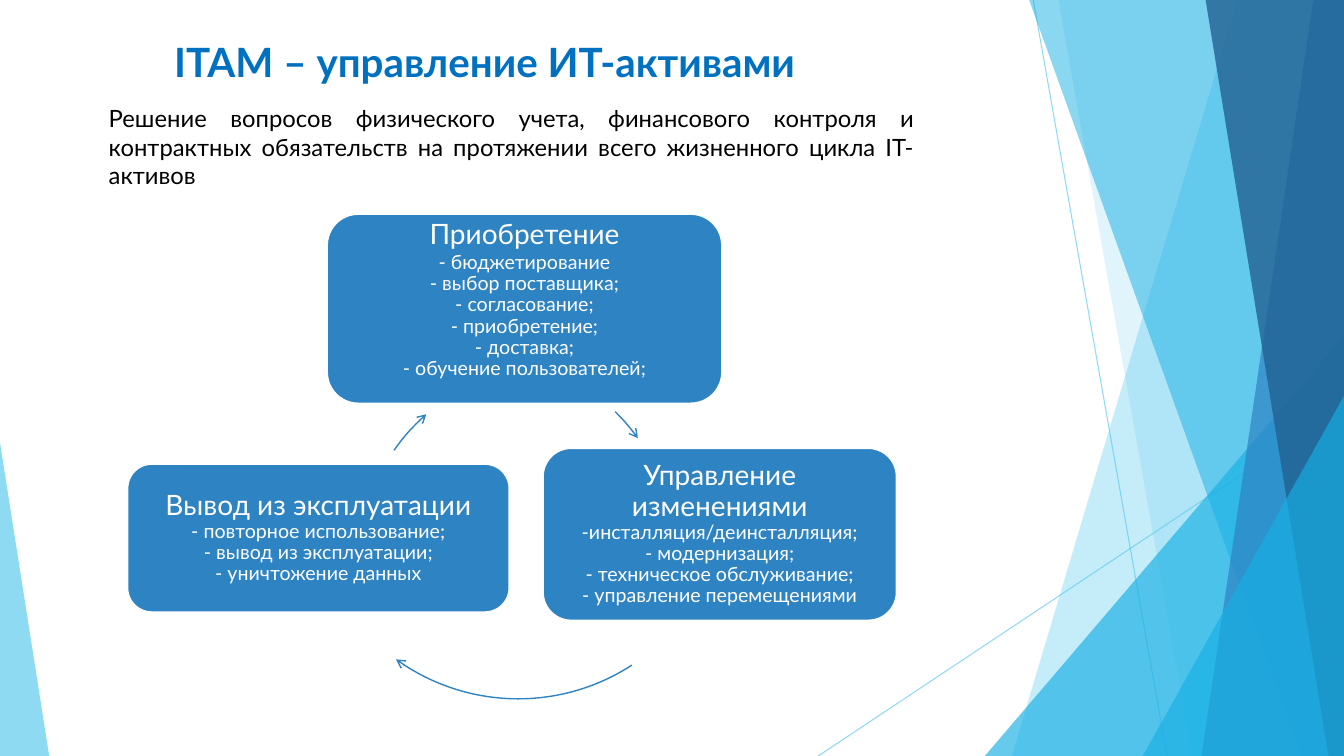
"""Builds the ITAM life-cycle slide."""
from lxml.etree import SubElement
from pptx import Presentation
from pptx.dml.color import RGBColor as RGB
from pptx.enum.shapes import MSO_CONNECTOR as CONN, MSO_SHAPE as SHAPE
from pptx.enum.text import MSO_ANCHOR as ANCHOR, PP_ALIGN as ALIGN
from pptx.oxml.ns import qn
from pptx.util import Cm, Pt

W, H = 33.87, 19.05
COLORS = {
    "sky": "5FCBEF", "cyan": "17B0E4", "blue": "2E83C3", "navy": "226292",
    "title": "0070C0", "black": "000000", "white": "FFFFFF",
}


class Deck:
    """Holds the style and the current slide."""
    font = "Lato"

    def __init__(self, slide):
        self.s = slide

    def color(self, name):
        return RGB.from_string(COLORS[name])

    def opacity(self, sp, percent):
        for clr in sp.element.spPr.iter(qn("a:srgbClr")):
            SubElement(clr, qn("a:alpha"), val=str(percent * 1000))

    def fill(self, sp, color):
        sp.shadow.inherit = False
        sp.fill.solid()
        sp.fill.fore_color.rgb = self.color(color)
        sp.line.fill.background()

    def stroke(self, sp, color, width):
        sp.line.color.rgb = self.color(color)
        sp.line.width = Pt(width)

    def style(self, p, size, color, align, bold=False, spacing=None):
        p.alignment = align
        p.line_spacing = spacing
        for r in p.runs:
            r.font.name, r.font.size, r.font.bold = self.font, Pt(size), bold
            r.font.color.rgb = self.color(color)

    def line(self, x1, y1, x2, y2):
        sp = self.s.shapes.add_connector(CONN.STRAIGHT, Cm(x1), Cm(y1), Cm(x2), Cm(y2))
        self.stroke(sp, "sky", 0.75)
        self.opacity(sp, 70)
        SubElement(sp.element.spPr, qn("a:effectLst"))

    def band(self, top_x, bottom_x, color, opacity):
        builder = self.s.shapes.build_freeform(Cm(top_x), Cm(-0.02))
        corners = [(W, -0.02), (W, H), (bottom_x, H)]
        builder.add_line_segments([(Cm(x), Cm(y)) for x, y in corners])
        sp = builder.convert_to_shape()
        self.fill(sp, color)
        self.opacity(sp, opacity)

    def triangle(self, left, top, width, apex, color, opacity):
        sp = self.s.shapes.add_shape(SHAPE.ISOSCELES_TRIANGLE, Cm(left), Cm(top), Cm(width), Cm(H - top))
        sp.adjustments[0] = apex
        self.fill(sp, color)
        self.opacity(sp, opacity)

    def text(self, x, y, w, h, text, size, color, align, anchor, bold=False):
        tf = self.s.shapes.add_textbox(Cm(x), Cm(y), Cm(w), Cm(h)).text_frame
        tf.word_wrap, tf.vertical_anchor = True, anchor
        tf.text = text
        self.style(tf.paragraphs[0], size, color, align, bold)

    def stage(self, x, y, w, h, lines, loose=0, bottom=0.2):
        sp = self.s.shapes.add_shape(SHAPE.ROUNDED_RECTANGLE, Cm(x), Cm(y), Cm(w), Cm(h))
        self.fill(sp, "blue")
        self.stroke(sp, "white", 2)
        tf = sp.text_frame
        tf.word_wrap, tf.vertical_anchor = True, ANCHOR.MIDDLE
        tf.margin_left = tf.margin_right = tf.margin_top = Cm(0.2)
        tf.margin_bottom = Cm(bottom)
        tf.text = "\n".join(lines)
        for i, p in enumerate(tf.paragraphs):
            self.style(p, 14 if i else 20, "white", ALIGN.CENTER,
                       spacing=1.0 if i < loose else 0.9)

    def arc(self, x, y, start, end):
        sp = self.s.shapes.add_shape(SHAPE.ARC, Cm(x), Cm(y), Cm(10.52), Cm(10.52))
        for i, angle in enumerate((start, end)):
            sp.adjustments[i] = angle * 0.6
        sp.shadow.inherit = False
        sp.fill.background()
        self.stroke(sp, "blue", 1)
        SubElement(sp.element.spPr.find(qn("a:ln")), qn("a:tailEnd"), type="arrow")


prs = Presentation()
prs.slide_width, prs.slide_height = Cm(W), Cm(H)
d = Deck(prs.slides.add_slide(prs.slide_layouts[6]))

d.line(26.04, 0, 29.41, H)
d.line(W, 10.24, 20.62, H)
d.band(31.19, 25.5, "sky", 36)
d.band(26.67, 30.05, "sky", 20)
d.triangle(24.82, 8.46, 9.05, 1, "cyan", 66)
d.band(25.93, 32.79, "cyan", 50)
d.band(33.1, 30.28, "blue", 70)
d.band(30.38, 33.48, "navy", 80)
d.triangle(28.8, 9.98, 5.07, 1, "cyan", 66)
d.triangle(0, 11.15, 1.24, 0, "sky", 70)

d.text(4.14, 0.74, 27.74, 1.6, "ITAM – управление ИТ-активами",
       28.8, "title", ALIGN.LEFT, ANCHOR.MIDDLE, bold=True)

d.stage(8.23, 5.38, 9.98, 4.8, [
    "Приобретение", "- бюджетирование", "- выбор поставщика;", "- согласование;",
    "- приобретение;", "- доставка;", "- обучение пользователей;",
], loose=2, bottom=0.73)
d.arc(6.55, 8.86, 314.6, 324.2)
d.stage(13.67, 11.28, 8.94, 4.37, [
    "Управление изменениями", "-инсталляция/деинсталляция;", "- модернизация;",
    "- техническое обслуживание;", "- управление перемещениями",
])
d.arc(7.8, 7.09, 57, 125.8)
d.stage(3.2, 11.68, 9.65, 3.76, [
    "Вывод из эксплуатации", "- повторное использование;",
    "- вывод из эксплуатации;", "- уничтожение данных",
])
d.arc(8.97, 9.12, 215.2, 228.5)

d.text(2.49, 2.49, 20.8, 2.44,
       "Решение вопросов физического учета, финансового контроля и контрактных "
       "обязательств на протяжении всего жизненного цикла IT-активов",
       17, "black", ALIGN.JUSTIFY, ANCHOR.TOP)

prs.save("out.pptx")
